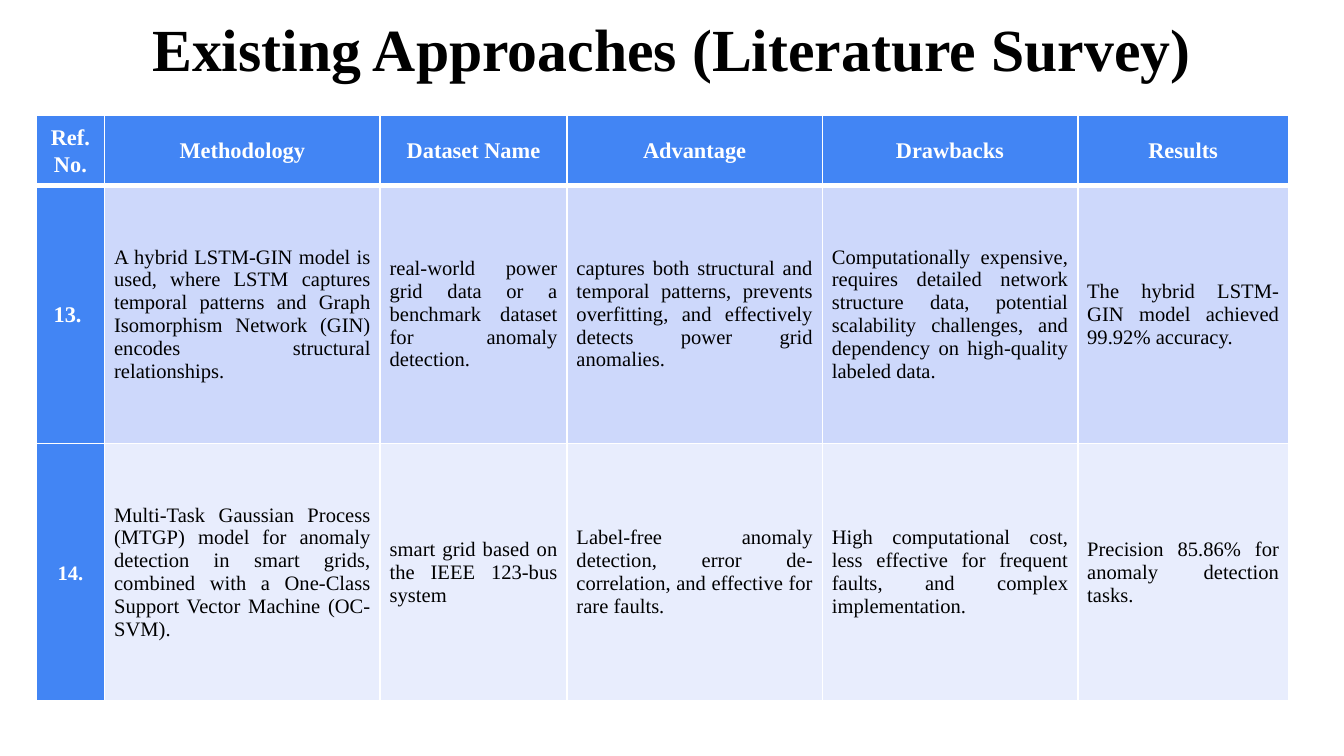
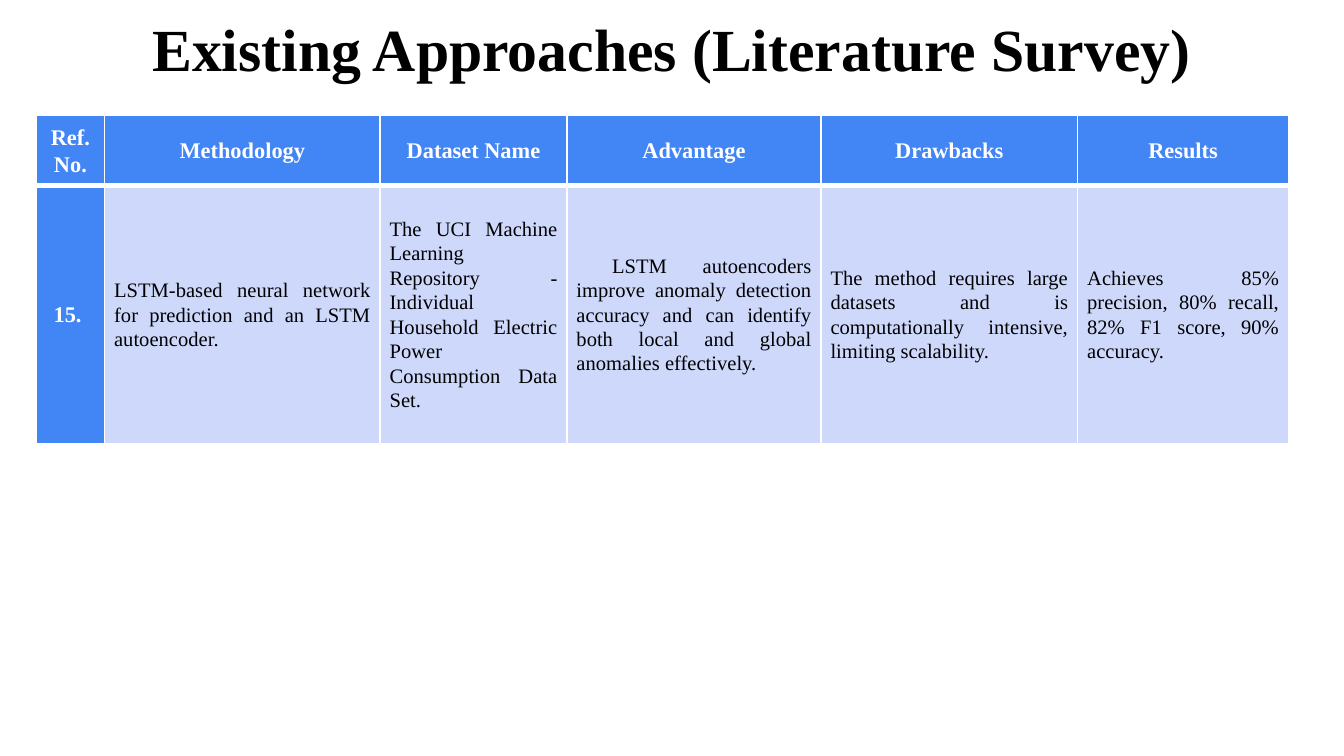
from lxml.etree import SubElement
from pptx import Presentation
from pptx.dml.color import RGBColor
from pptx.enum.text import MSO_ANCHOR, MSO_AUTO_SIZE, PP_ALIGN
from pptx.oxml.ns import qn
from pptx.util import Pt

# Content
TITLE = "Existing Approaches (Literature Survey)"
HEADINGS = ["Ref. No.", "Methodology", "Dataset Name", "Advantage", "Drawbacks", "Results"]
SURVEYS = [
    {
        "columns": [36.7, 147.6, 100.1, 136.8, 136.8, 113],
        "body_spacing": 1.0,
        "ref_sizes": [12, 11],
        "papers": [
            ["13.\N{NO-BREAK SPACE}",
             "A hybrid LSTM-GIN model is used, where LSTM captures temporal patterns and "
             "Graph Isomorphism Network (GIN) encodes structural relationships.",
             "real-world power grid data or a benchmark dataset for anomaly detection.",
             "captures both structural and temporal patterns, prevents overfitting, and "
             "effectively detects power grid anomalies.",
             "Computationally expensive, requires detailed network structure data, potential "
             "scalability challenges, and dependency on high-quality labeled data.",
             "The hybrid LSTM-GIN model achieved 99.92% accuracy."],
            ["14.",
             "Multi-Task Gaussian Process (MTGP) model for anomaly detection in smart grids, "
             "combined with a One-Class Support Vector Machine (OC-SVM).",
             "smart grid based on the IEEE 123-bus system",
             "Label-free anomaly detection, error de-correlation, and effective for rare faults.",
             "High computational cost, less effective for frequent faults, and complex "
             "implementation.",
             "Precision 85.86% for anomaly detection tasks."],
        ],
    },
    {
        "columns": [36.7, 147.6, 100.1, 136.1, 137.5, 113],
        "body_spacing": 1.07,
        "ref_sizes": [12],
        "papers": [
            ["15.\N{NO-BREAK SPACE}",
             "LSTM-based neural network for prediction and an LSTM autoencoder.",
             "The UCI Machine Learning Repository - Individual Household Electric Power "
             "Consumption Data Set.",
             " LSTM autoencoders improve anomaly detection accuracy and can identify both "
             "local and global anomalies effectively.",
             "The method requires large datasets and is computationally intensive, limiting "
             "scalability.",
             "Achieves 85% precision, 80% recall, 82% F1 score, 90% accuracy."],
        ],
    },
]

# Shared style
FONT = "Times New Roman"
BLACK, WHITE, BLUE = "000000", "FFFFFF", "4285F4"
BANDS = ["CDD8FB", "E8EDFD"]
TABLE_LEFT, TABLE_TOP = 19.4, 61.9
HEADING_HEIGHT, PAPER_HEIGHT = 37.4, 138.2
THIN, THICK = 1, 3
LABEL_SPACING = 1.07


def color(code):
    return RGBColor.from_string(code)


def style(paragraph, size, ink, bold, align, spacing):
    paragraph.alignment = align
    paragraph.line_spacing = spacing
    font = paragraph.font
    font.name, font.size, font.bold = FONT, Pt(size), bold
    font.color.rgb = color(ink)


def add_title(slide):
    title = slide.shapes.title
    title.left, title.top, title.width, title.height = Pt(0), Pt(-0.7), Pt(720), Pt(62.6)
    frame = title.text_frame
    frame.text = TITLE
    frame.word_wrap = True
    frame.auto_size = MSO_AUTO_SIZE.NONE
    frame.vertical_anchor = MSO_ANCHOR.TOP
    frame.margin_left = frame.margin_right = Pt(7.2)
    frame.margin_top = frame.margin_bottom = Pt(7.2)
    paragraph = frame.paragraphs[0]
    style(paragraph, 32, BLACK, True, PP_ALIGN.CENTER, 1.0)
    paragraph.space_before = Pt(0)


def set_borders(cell, top, bottom):
    properties = cell._tc.get_or_add_tcPr()
    for side, width in (("L", THIN), ("R", THIN), ("T", top), ("B", bottom)):
        line = SubElement(properties, qn(f"a:ln{side}"), w=str(Pt(width)))
        SubElement(SubElement(line, qn("a:solidFill")), qn("a:srgbClr"), val=WHITE)


def fill_cell(cell, text, fill, top, bottom, **text_style):
    cell.text = text
    cell.vertical_anchor = MSO_ANCHOR.MIDDLE
    cell.margin_left = cell.margin_right = Pt(5.1)
    cell.margin_top = cell.margin_bottom = Pt(0)
    set_borders(cell, top, bottom)
    cell.fill.solid()
    cell.fill.fore_color.rgb = color(fill)
    style(cell.text_frame.paragraphs[0], **text_style)


def add_survey(slide, survey):
    rows = [HEADINGS] + survey["papers"]
    heights = [HEADING_HEIGHT] + [PAPER_HEIGHT] * len(survey["papers"])
    table = slide.shapes.add_table(
        len(rows), len(HEADINGS), Pt(TABLE_LEFT), Pt(TABLE_TOP),
        Pt(sum(survey["columns"])), Pt(sum(heights))).table
    for column, width in zip(table.columns, survey["columns"]):
        column.width = Pt(width)
    for row, height in zip(table.rows, heights):
        row.height = Pt(height)

    label_sizes = [12] + survey["ref_sizes"]
    for r, texts in enumerate(rows):
        top = THICK if r == 1 else THIN
        bottom = THICK if r == 0 else THIN
        for c, text in enumerate(texts):
            if r == 0 or c == 0:
                fill = BLUE
                look = dict(size=label_sizes[r], ink=WHITE, bold=True,
                            align=PP_ALIGN.CENTER, spacing=LABEL_SPACING)
            else:
                fill = BANDS[(r - 1) % len(BANDS)]
                look = dict(size=11, ink=BLACK, bold=False,
                            align=PP_ALIGN.JUSTIFY, spacing=survey["body_spacing"])
            fill_cell(table.cell(r, c), text, fill, top, bottom, **look)


def main():
    deck = Presentation()
    deck.slide_width, deck.slide_height = Pt(720), Pt(405)
    title_only = deck.slide_layouts[5]
    for survey in SURVEYS:
        slide = deck.slides.add_slide(title_only)
        add_title(slide)
        add_survey(slide, survey)
    deck.save("out.pptx")


if __name__ == "__main__":
    main()
